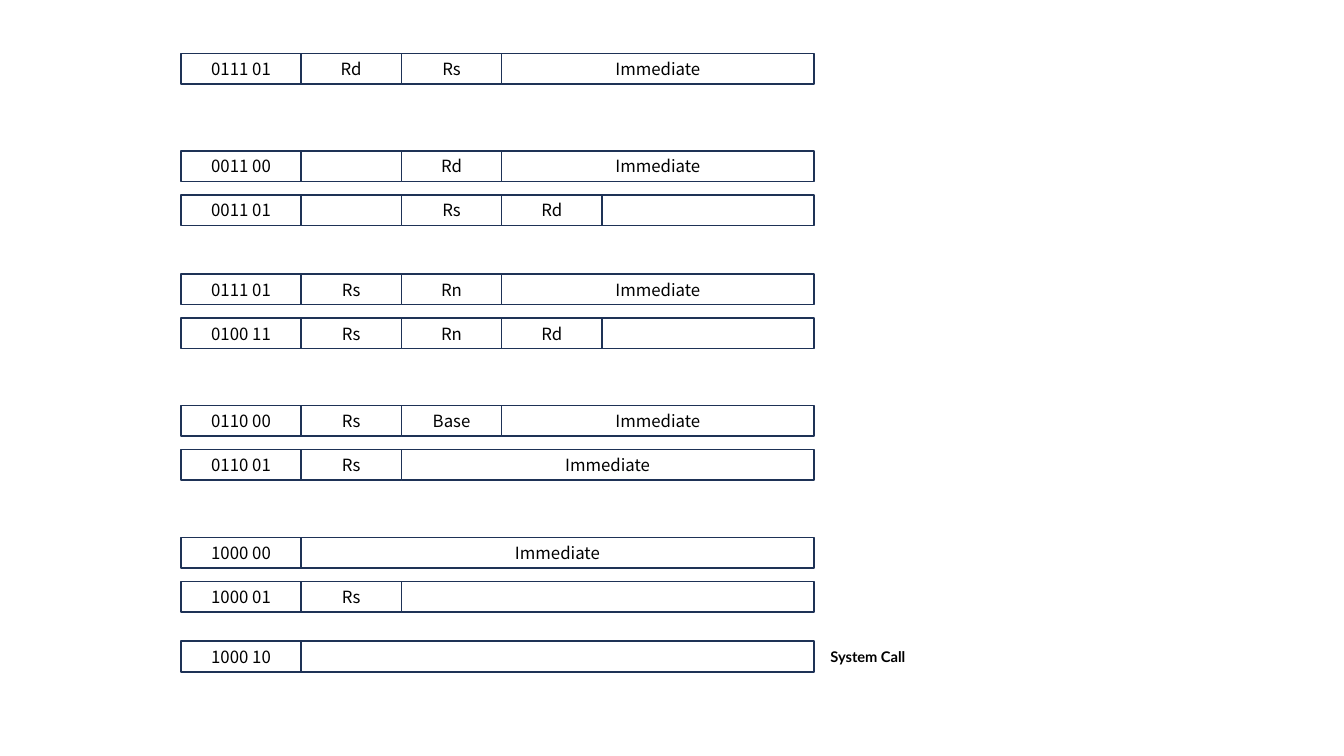
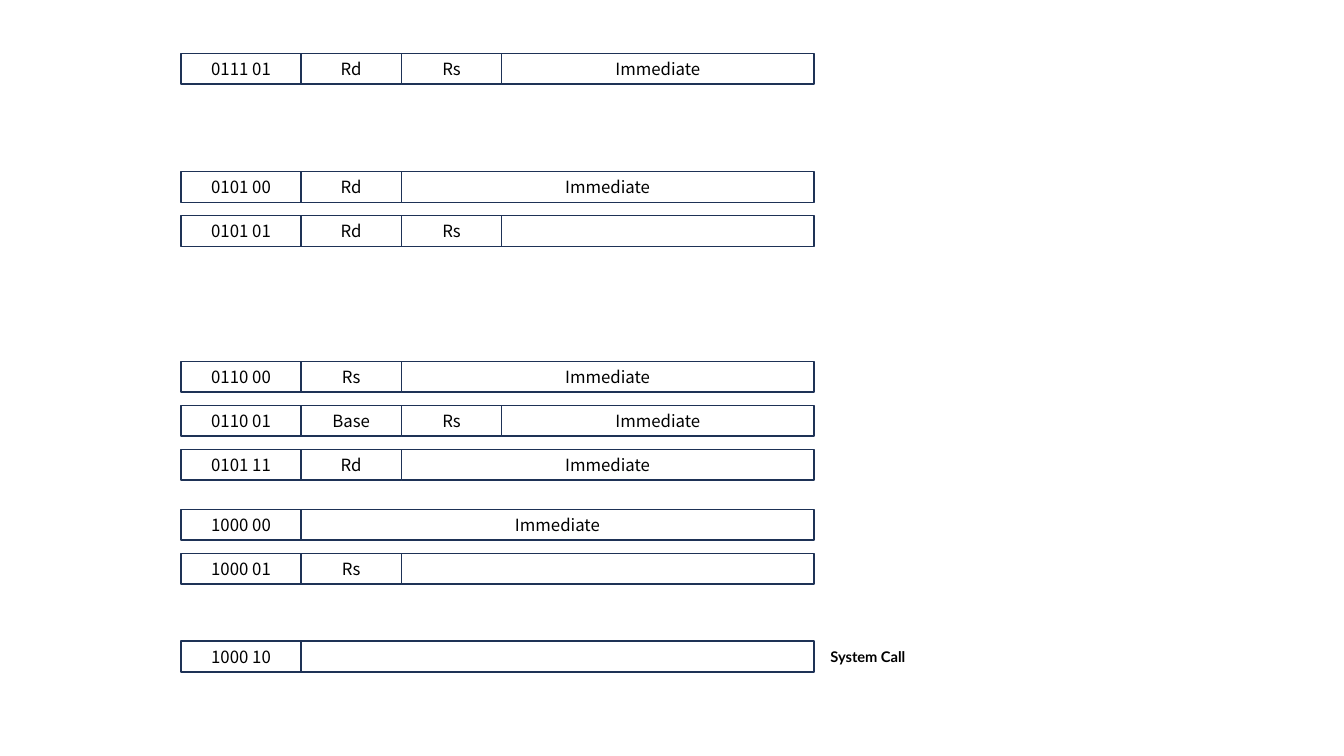
from pptx import Presentation
from pptx.dml.color import RGBColor
from pptx.enum.shapes import MSO_SHAPE
from pptx.enum.text import MSO_ANCHOR, MSO_AUTO_SIZE, PP_ALIGN
from pptx.util import Pt

# Content: each group is (top, instruction rows); a row is opcode, then its fields.
# The last field of a row takes all the remaining bits.
FIRST_GROUP = (38.2, [("0111 01", "Rd", "Rs", "Immediate")])
SYSTEM_CALL_TOP = 458
SYSTEM_CALL_GROUP = (SYSTEM_CALL_TOP, [("1000 10", "")])
SYSTEM_CALL_LABEL = "System Call"
JUMP_ROWS = [("1000 00", "Immediate"), ("1000 01", "Rs", "")]

SLIDES = [
    [
        FIRST_GROUP,
        (107.8, [("0011 00", "", "Rd", "Immediate"),
                 ("0011 01", "", "Rs", "Rd", "")]),
        (195.7, [("0111 01", "Rs", "Rn", "Immediate"),
                 ("0100 11", "Rs", "Rn", "Rd", "")]),
        (289.6, [("0110 00", "Rs", "Base", "Immediate"),
                 ("0110 01", "Rs", "Immediate")]),
        (383.8, JUMP_ROWS),
        SYSTEM_CALL_GROUP,
    ],
    [
        FIRST_GROUP,
        (122.6, [("0101 00", "Rd", "Immediate"),
                 ("0101 01", "Rd", "Rs", "")]),
        (258.2, [("0110 00", "Rs", "Immediate"),
                 ("0110 01", "Base", "Rs", "Immediate"),
                 ("0101 11", "Rd", "Immediate")]),
        (363.8, JUMP_ROWS),
        SYSTEM_CALL_GROUP,
    ],
]

# Shared style and grid, in points
WHITE = RGBColor(0xFF, 0xFF, 0xFF)
BLACK = RGBColor(0, 0, 0)
NAVY = RGBColor(0x1E, 0x32, 0x56)
FIELD_FONT = "Noto Sans CJK KR"
LABEL_FONT = "Lato"
LEFT, RIGHT = 129.4, 581.4
OPCODE_WIDTH, REGISTER_WIDTH = 85.6, 71.7
ROW_HEIGHT, ROW_PITCH = 21.9, 31.4


def style_text(paragraph, font_name, size, bold=False):
    paragraph.font.name = font_name
    paragraph.font.size = Pt(size)
    paragraph.font.bold = bold
    paragraph.font.color.rgb = BLACK


def add_field(slide, left, top, width, text):
    shape = slide.shapes.add_shape(
        MSO_SHAPE.RECTANGLE, Pt(left), Pt(top), Pt(width), Pt(ROW_HEIGHT))
    shape.shadow.inherit = False
    shape.fill.solid()
    shape.fill.fore_color.rgb = WHITE
    shape.line.color.rgb = NAVY
    shape.line.width = Pt(1)
    if text:
        frame = shape.text_frame
        frame.text = text
        frame.vertical_anchor = MSO_ANCHOR.MIDDLE
        paragraph = frame.paragraphs[0]
        paragraph.alignment = PP_ALIGN.CENTER
        style_text(paragraph, FIELD_FONT, 12)


def add_instruction(slide, top, fields):
    left = LEFT
    last = len(fields) - 1
    for index, text in enumerate(fields):
        if index == last:
            width = RIGHT - left
        else:
            width = REGISTER_WIDTH if index else OPCODE_WIDTH
        add_field(slide, left, top, width, text)
        left += width


def add_system_call_label(slide):
    box = slide.shapes.add_textbox(
        Pt(RIGHT + 4.7), Pt(SYSTEM_CALL_TOP + 1.2), Pt(85), Pt(20))
    frame = box.text_frame
    frame.word_wrap = False
    frame.auto_size = MSO_AUTO_SIZE.SHAPE_TO_FIT_TEXT
    frame.text = SYSTEM_CALL_LABEL
    style_text(frame.paragraphs[0], LABEL_FONT, 10.5, bold=True)


def main():
    presentation = Presentation()
    presentation.slide_width = Pt(960)
    presentation.slide_height = Pt(540)
    blank_layout = presentation.slide_layouts[6]
    for groups in SLIDES:
        slide = presentation.slides.add_slide(blank_layout)
        for group_top, rows in groups:
            for index, fields in enumerate(rows):
                add_instruction(slide, group_top + index * ROW_PITCH, fields)
        add_system_call_label(slide)
    presentation.save("out.pptx")


if __name__ == "__main__":
    main()
